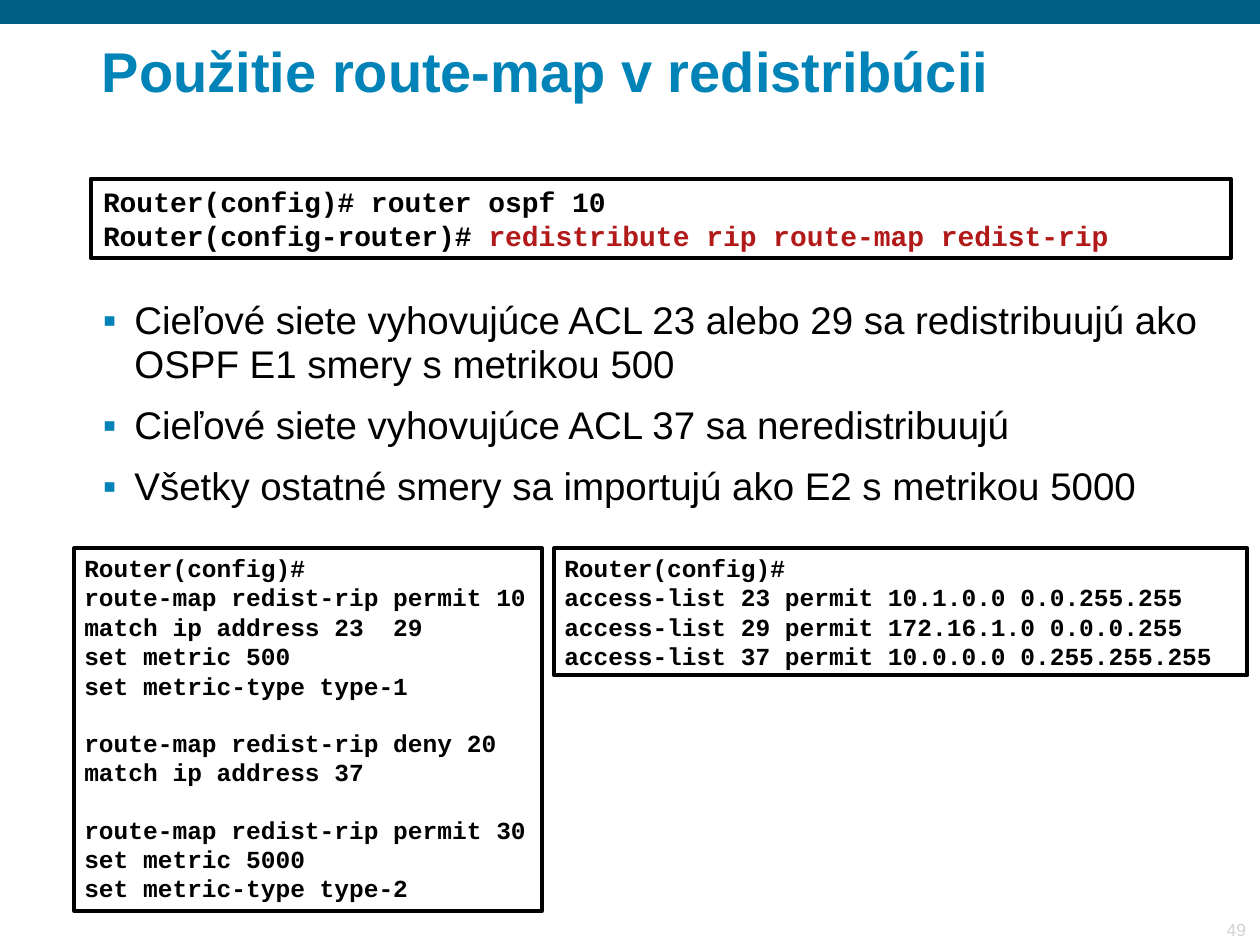
from dataclasses import dataclass

from lxml import etree
from pptx import Presentation
from pptx.dml.color import RGBColor
from pptx.enum.shapes import MSO_SHAPE
from pptx.enum.text import MSO_ANCHOR, PP_ALIGN
from pptx.oxml.ns import qn
from pptx.util import Pt

RECTANGLE = MSO_SHAPE.RECTANGLE
TOP, MIDDLE, BOTTOM = MSO_ANCHOR.TOP, MSO_ANCHOR.MIDDLE, MSO_ANCHOR.BOTTOM
LEFT, RIGHT = PP_ALIGN.LEFT, PP_ALIGN.RIGHT

COLORS = {
    "band": "015F85",
    "accent": "0183B7",
    "command": "B21A1A",
    "text": "000000",
    "white": "FFFFFF",
    "number": "D3D3D3",
}
CODE_GAP = 15.86  # one line of 14 pt code


@dataclass
class Area:
    left: float
    top: float
    width: float
    height: float

    def lengths(self):
        return Pt(self.left), Pt(self.top), Pt(self.width), Pt(self.height)


@dataclass
class Span:
    text: str
    color: str = "text"


@dataclass
class Line:
    spans: list[Span]
    space_before: float = 0


@dataclass
class CodeBox:
    area: Area
    lines: list[Line]
    size: float
    insets: tuple[float, float]
    fill: str | None = None


def color_of(name: str) -> RGBColor:
    return RGBColor.from_string(COLORS[name])


def plain(text: str, space_before: float = 0) -> Line:
    return Line([Span(text)], space_before)


def add_bullet(para) -> None:
    properties = para._p.get_or_add_pPr()
    properties.set("marL", str(Pt(18)))
    properties.set("indent", str(-Pt(18)))
    bullet_color = etree.SubElement(properties, qn("a:buClr"))
    etree.SubElement(bullet_color, qn("a:srgbClr"), val=COLORS["accent"])
    etree.SubElement(properties, qn("a:buFont"), typeface="Arial")
    etree.SubElement(properties, qn("a:buChar"), char="▪")


def write_text(box, lines: list[Line], *, size: float, font: str = "Arial",
               bold: bool = False, align=LEFT, anchor=TOP,
               insets: tuple[float, float] = (6.5, 3.25),
               line_spacing: float = 1, bulleted: bool = False) -> None:
    """Fill a box; insets are the side and the top and bottom margins."""
    frame = box.text_frame
    frame.word_wrap = True
    frame.vertical_anchor = anchor
    frame.margin_left = frame.margin_right = Pt(insets[0])
    frame.margin_top = frame.margin_bottom = Pt(insets[1])
    for index, line in enumerate(lines):
        para = frame.add_paragraph() if index else frame.paragraphs[0]
        if bulleted:
            add_bullet(para)
        para.alignment = align
        para.line_spacing = line_spacing
        para.space_before = Pt(line.space_before)
        for span in line.spans:
            run = para.add_run()
            run.text = span.text
            run.font.name = font
            run.font.size = Pt(size)
            run.font.bold = bold
            run.font.color.rgb = color_of(span.color)


def add_rectangle(page, area: Area, fill: str | None, outlined: bool):
    box = page.shapes.add_shape(RECTANGLE, *area.lengths())
    box.shadow.inherit = False
    if fill:
        box.fill.solid()
        box.fill.fore_color.rgb = color_of(fill)
    else:
        box.fill.background()
    if outlined:
        box.line.color.rgb = color_of("text")
        box.line.width = Pt(2.25)
    else:
        box.line.fill.background()
    return box


def add_code(page, code: CodeBox) -> None:
    box = add_rectangle(page, code.area, code.fill, outlined=True)
    write_text(box, code.lines, size=code.size, font="Courier New",
               bold=True, insets=code.insets)


def add_text(page, area: Area, lines: list[Line], **text_format) -> None:
    write_text(page.shapes.add_textbox(*area.lengths()), lines, **text_format)


REDISTRIBUTION = CodeBox(
    Area(51.8, 102.2, 651.6, 45.4),
    [
        plain("Router(config)# router ospf 10"),
        Line([Span("Router(config-router)# "),
              Span("redistribute rip route-map redist-rip", "command")]),
    ],
    size=16, insets=(7.2, 3.6), fill="white",
)
ROUTE_MAP = CodeBox(
    Area(42.5, 313.2, 267.1, 207.4),
    [
        plain("Router(config)#"),
        plain("route-map redist-rip permit 10 match ip address 23  29"),
        plain("set metric 500"),
        plain("set metric-type type-1"),
        plain("route-map redist-rip deny 20", CODE_GAP),
        plain("match ip address 37"),
        plain("route-map redist-rip permit 30", CODE_GAP),
        plain("set metric 5000"),
        plain("set metric-type type-2"),
    ],
    size=14, insets=(5.67, 2.83),
)
ACCESS_LISTS = CodeBox(
    Area(316.8, 313.2, 396, 72.7),
    [
        plain("Router(config)#"),
        plain("access-list 23 permit 10.1.0.0 0.0.255.255"),
        plain("access-list 29 permit 172.16.1.0 0.0.0.255"),
        plain("access-list 37 permit 10.0.0.0 0.255.255.255"),
    ],
    size=14, insets=(5.67, 2.83),
)
RULES = [
    plain("Cieľové siete vyhovujúce ACL 23 alebo 29 sa redistribuujú ako "
          "OSPF E1 smery s metrikou 500"),
    plain("Cieľové siete vyhovujúce ACL 37 sa neredistribuujú", 9.6),
    plain("Všetky ostatné smery sa importujú ako E2 s metrikou 5000", 9.6),
]


def main() -> None:
    deck = Presentation()
    deck.slide_width, deck.slide_height = Pt(720), Pt(540)
    page = deck.slides.add_slide(deck.slide_layouts[6])

    add_rectangle(page, Area(0, 0, 720, 13.7), "band", outlined=False)
    add_text(page, Area(660.2, 522, 58.3, 18.7), [Line([Span("49", "number")])],
             size=10, align=RIGHT, anchor=BOTTOM)
    add_text(page, Area(51.8, 9.4, 641.5, 66.2),
             [Line([Span("Použitie route-map v redistribúcii", "accent")])],
             size=32, bold=True, anchor=MIDDLE, line_spacing=0.9)
    add_text(page, Area(51.8, 167.8, 648, 126.7), RULES, size=22,
             insets=(7.2, 3.6), line_spacing=0.95, bulleted=True)
    for code in (REDISTRIBUTION, ROUTE_MAP, ACCESS_LISTS):
        add_code(page, code)

    deck.save("out.pptx")


if __name__ == "__main__":
    main()
